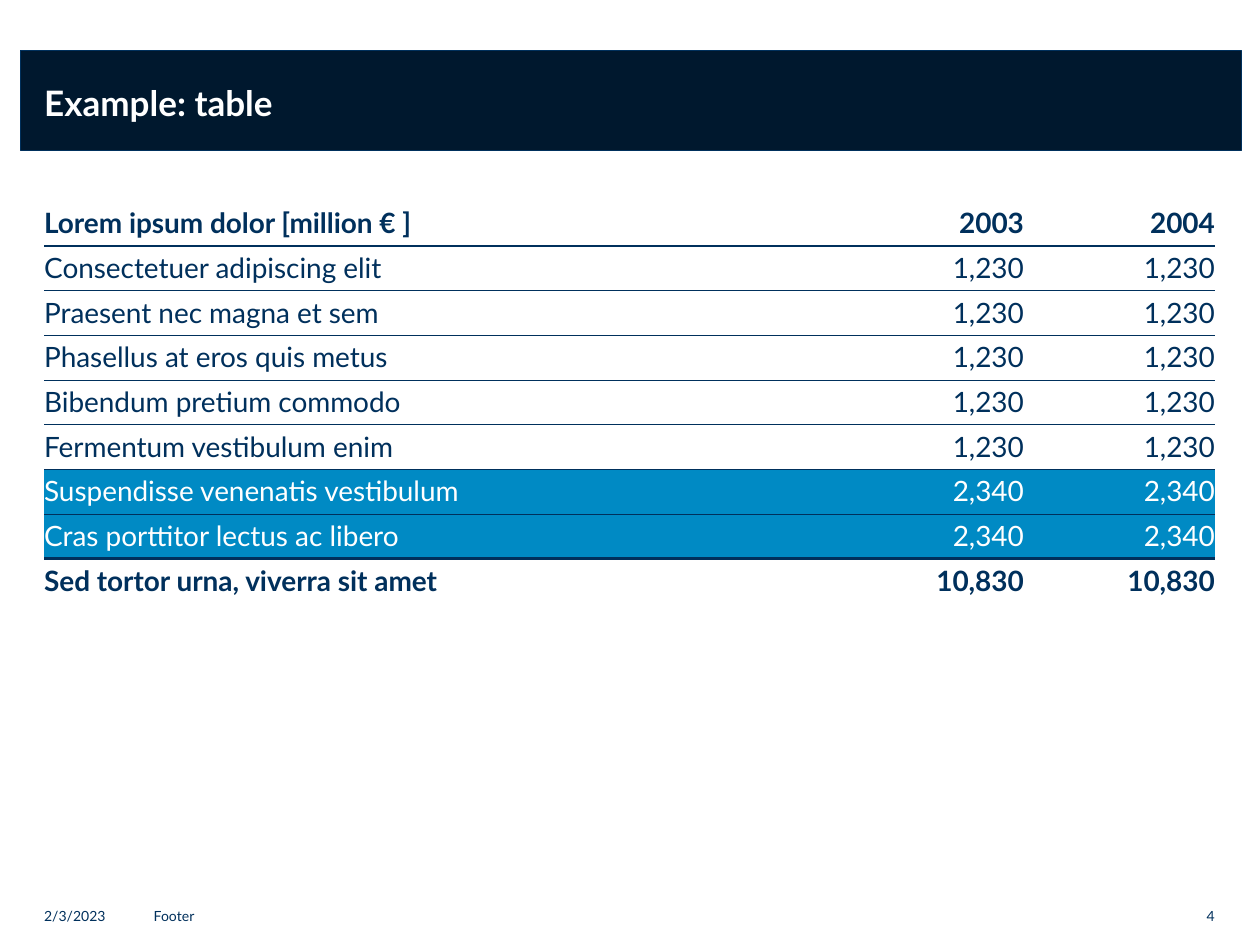
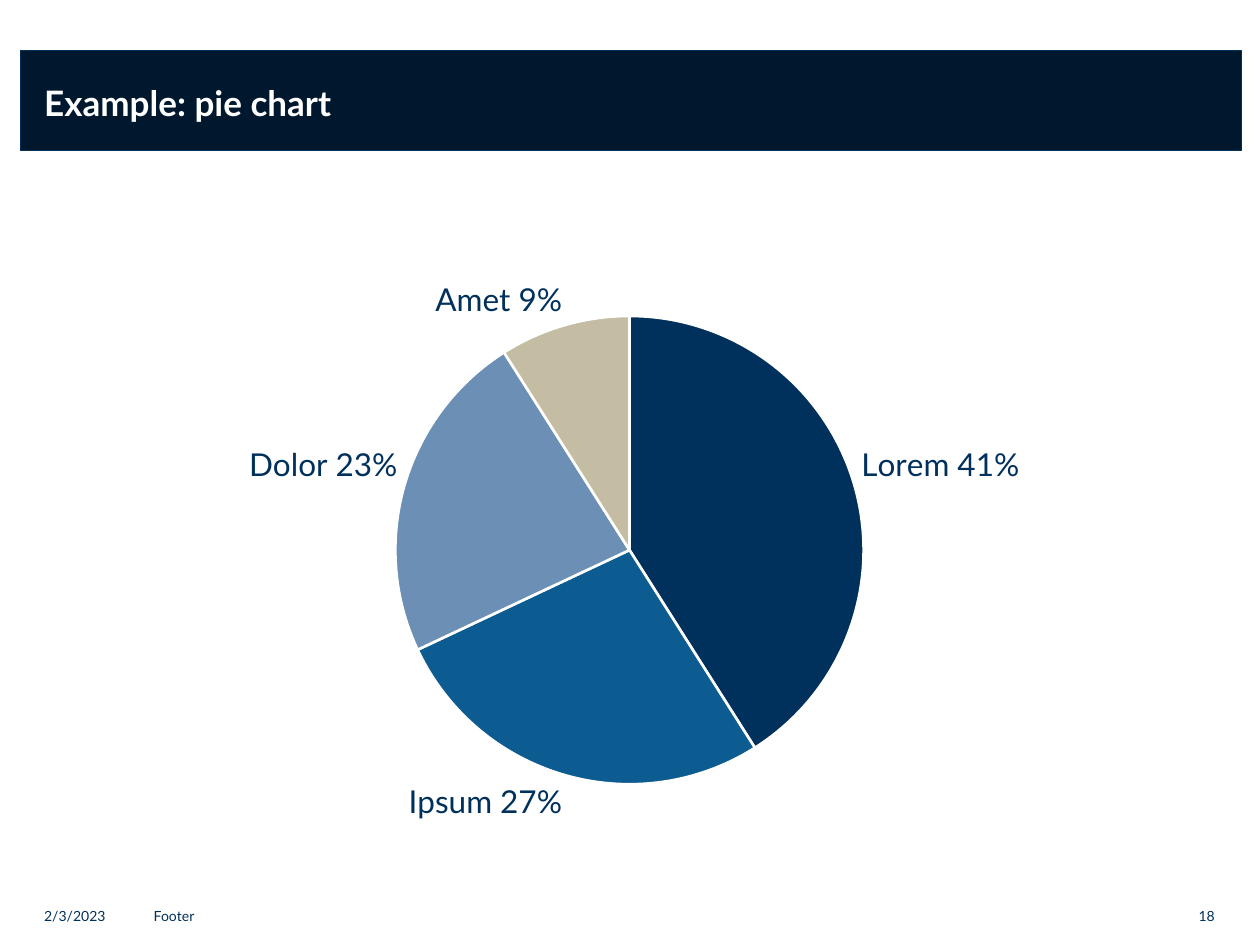
from lxml import etree
from pptx import Presentation
from pptx.chart.data import CategoryChartData
from pptx.dml.color import RGBColor
from pptx.enum.chart import XL_CHART_TYPE, XL_LABEL_POSITION
from pptx.enum.shapes import MSO_SHAPE
from pptx.enum.text import MSO_ANCHOR, PP_ALIGN
from pptx.oxml import parse_xml
from pptx.oxml.ns import nsdecls, qn
from pptx.util import Cm, Pt

RECT = MSO_SHAPE.RECTANGLE
PIE = XL_CHART_TYPE.PIE
OUTSIDE = XL_LABEL_POSITION.OUTSIDE_END
MIDDLE, BOTTOM = MSO_ANCHOR.MIDDLE, MSO_ANCHOR.BOTTOM
LEFT, RIGHT = PP_ALIGN.LEFT, PP_ALIGN.RIGHT

FONT = "Lato"
NAVY = RGBColor(0x00, 0x30, 0x5C)
BAND = RGBColor(0x00, 0x18, 0x2E)
BRIGHT = RGBColor(0x00, 0x8A, 0xC4)
MID_BLUE = RGBColor(0x0D, 0x5C, 0x91)
PALE_BLUE = RGBColor(0x6B, 0x8F, 0xB5)
SAND = RGBColor(0xC4, 0xBD, 0xA3)
WHITE = RGBColor(0xFF, 0xFF, 0xFF)

MARGIN, CONTENT_WIDTH = Cm(0.89), Cm(23.6)
BAND_LEFT, BAND_TOP, BAND_HEIGHT = Cm(0.41), Cm(1.02), Cm(2.01)


def write(tf, text, size, color, align=LEFT, bold=False):
    tf.text = text
    p = tf.paragraphs[0]
    p.alignment = align
    font = p.runs[0].font
    font.name, font.size, font.bold = FONT, Pt(size), bold
    font.color.rgb = color
    return p


def add_slide(prs, title, number):
    s = prs.slides.add_slide(prs.slide_layouts[5])
    band = s.shapes.add_shape(RECT, BAND_LEFT, BAND_TOP, Cm(24.61), BAND_HEIGHT)
    band.shadow.inherit = False
    band.fill.solid()
    band.fill.fore_color.rgb = BAND
    band.line.color.rgb = NAVY
    band.line.width = Pt(0.5)

    sp = s.shapes.title
    sp.element.addprevious(band.element)
    sp.left, sp.top, sp.width, sp.height = BAND_LEFT, BAND_TOP, Cm(17.91), BAND_HEIGHT
    tf = sp.text_frame
    tf.margin_left = tf.margin_right = Cm(0.48)
    tf.margin_top = tf.margin_bottom = 0
    tf.vertical_anchor = MIDDLE
    write(tf, title, 20, WHITE, bold=True).line_spacing = 1.1

    for text, left, width, align in [
        ("2/3/2023", MARGIN, Cm(2.01), LEFT),
        ("Footer", Cm(3.1), Cm(20.19), LEFT),
        (str(number), Cm(23.5), Cm(0.99), RIGHT),
    ]:
        tf = s.shapes.add_textbox(left, Cm(17.93), width, Cm(0.71)).text_frame
        tf.margin_left = tf.margin_top = tf.margin_right = tf.margin_bottom = 0
        tf.word_wrap = True
        tf.vertical_anchor = BOTTOM
        write(tf, text, 8, NAVY, align)
    return s


prs = Presentation()
prs.slide_width, prs.slide_height = Cm(25.4), Cm(19.05)

s = add_slide(prs, "Example: table", 4)
rows = [
    ("Lorem ipsum dolor [million € ]", "2003", "2004"),
    ("Consectetuer adipiscing elit", "1,230", "1,230"),
    ("Praesent nec magna et sem", "1,230", "1,230"),
    ("Phasellus at eros quis metus", "1,230", "1,230"),
    ("Bibendum pretium commodo", "1,230", "1,230"),
    ("Fermentum vestibulum enim", "1,230", "1,230"),
    ("Suspendisse venenatis vestibulum", "2,340", "2,340"),
    ("Cras porttitor lectus ac libero", "2,340", "2,340"),
    ("Sed tortor urna, viverra sit amet", "10,830", "10,830"),
]
last = len(rows) - 1
rules = [0, 1.5] + [0.5] * (last - 2) + [1.5, 0]
row_height = Cm(0.9)
table = s.shapes.add_table(
    len(rows), 3, MARGIN, Cm(4.06), CONTENT_WIDTH, row_height * len(rows)
).table
table.first_row = table.horz_banding = False
for column, width in zip(table.columns, (14.46, 5.29, 3.85)):
    column.width = Cm(width)

for i, row in enumerate(rows):
    table.rows[i].height = row_height
    highlighted = i in (6, 7)
    for j, text in enumerate(row):
        cell = table.cell(i, j)
        cell.margin_left = cell.margin_right = 0
        cell.margin_top = cell.margin_bottom = Cm(0.1)
        write(cell.text_frame, text, 16, WHITE if highlighted else NAVY,
              RIGHT if j else LEFT, i in (0, last))
        if highlighted:
            cell.fill.solid()
            cell.fill.fore_color.rgb = BRIGHT
        else:
            cell.fill.background()
        tcPr = cell._tc.get_or_add_tcPr()
        sides = [("L", 0), ("R", 0), ("T", rules[i]), ("B", rules[i + 1])]
        for k, (side, width) in enumerate(sides):
            paint = (f'<a:solidFill><a:srgbClr val="{NAVY}"/></a:solidFill>'
                     if width else "<a:noFill/>")
            tcPr.insert(k, parse_xml(
                f'<a:ln{side} {nsdecls("a")} w="{Pt(width)}">{paint}</a:ln{side}>'))

s = add_slide(prs, "Example: pie chart", 18)
data = CategoryChartData()
data.categories = ["Lorem", "Ipsum", "Dolor", "Amet"]
data.add_series("Series 1", (41, 27, 23, 9))
chart = s.shapes.add_chart(
    PIE, MARGIN, Cm(4.32), CONTENT_WIDTH, Cm(13.41), data
).chart
chart.has_title = chart.has_legend = False
chart.font.name, chart.font.size = FONT, Pt(18)
chart.font.color.rgb = NAVY
chart.plots[0].vary_by_categories = True

series = chart.plots[0].series[0]
for i, color in enumerate((NAVY, MID_BLUE, PALE_BLUE, SAND)):
    fmt = series.points[i].format
    fmt.fill.solid()
    fmt.fill.fore_color.rgb = color
    fmt.line.color.rgb = WHITE
    fmt.line.width = Pt(1.5)

labels = series.data_labels
labels.show_value = False
labels.show_category_name = labels.show_percentage = True
labels.number_format, labels.number_format_is_linked = "0%", False
labels.position = OUTSIDE
labels.font.name, labels.font.size = FONT, Pt(18)
labels.font.color.rgb = NAVY
separator = etree.Element(qn("c:separator"))
separator.text = " "
labels._element.find(qn("c:showBubbleSize")).addnext(separator)

plot_area = chart.element.find(".//" + qn("c:plotArea"))
for layout in plot_area.findall(qn("c:layout")):
    plot_area.remove(layout)
plot_area.insert(0, parse_xml(
    f'<c:layout {nsdecls("c")}><c:manualLayout><c:layoutTarget val="inner"/>'
    '<c:xMode val="edge"/><c:yMode val="edge"/><c:x val="0.3"/><c:y val="0.14"/>'
    '<c:w val="0.4"/><c:h val="0.73"/></c:manualLayout></c:layout>'))

prs.save("out.pptx")
